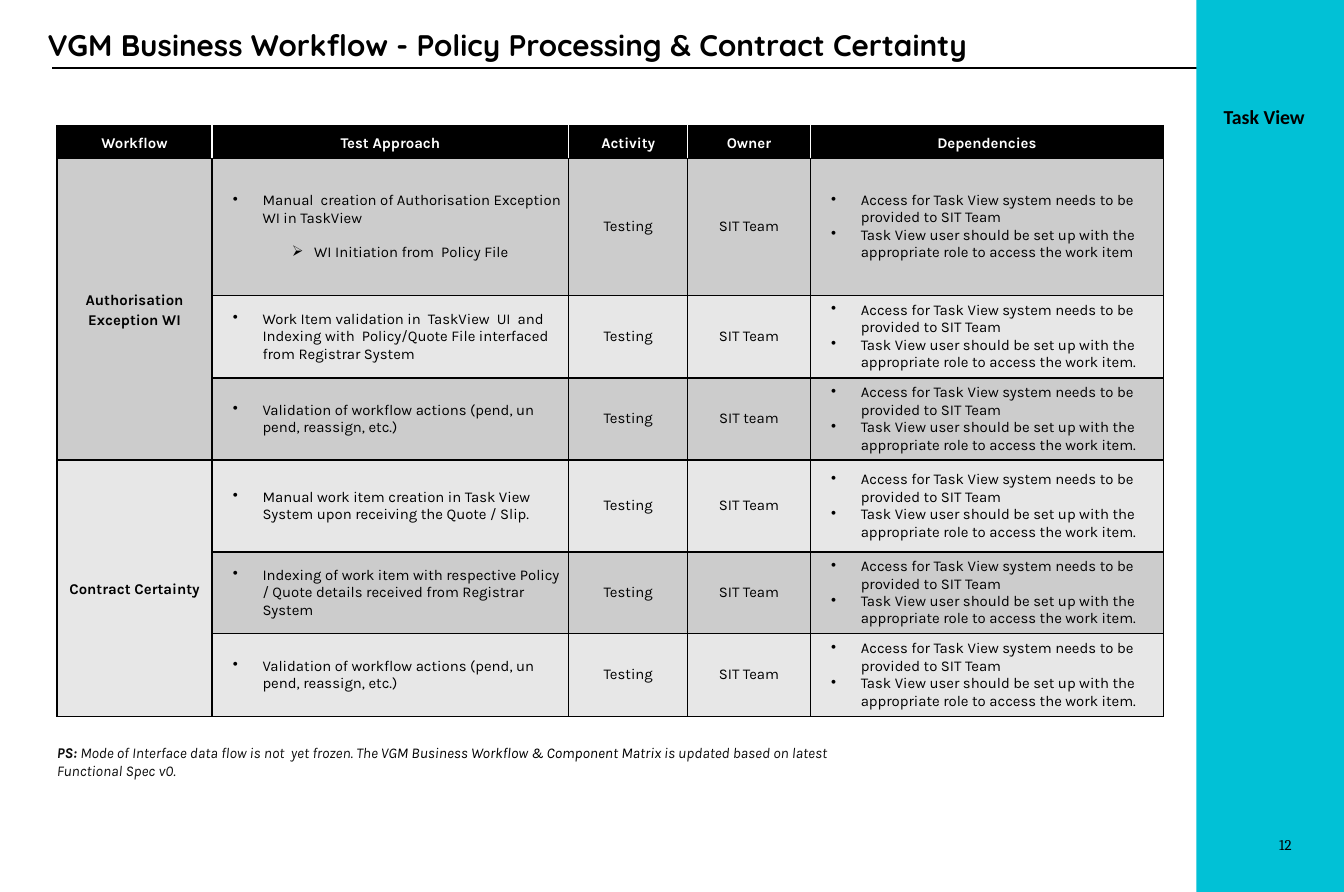
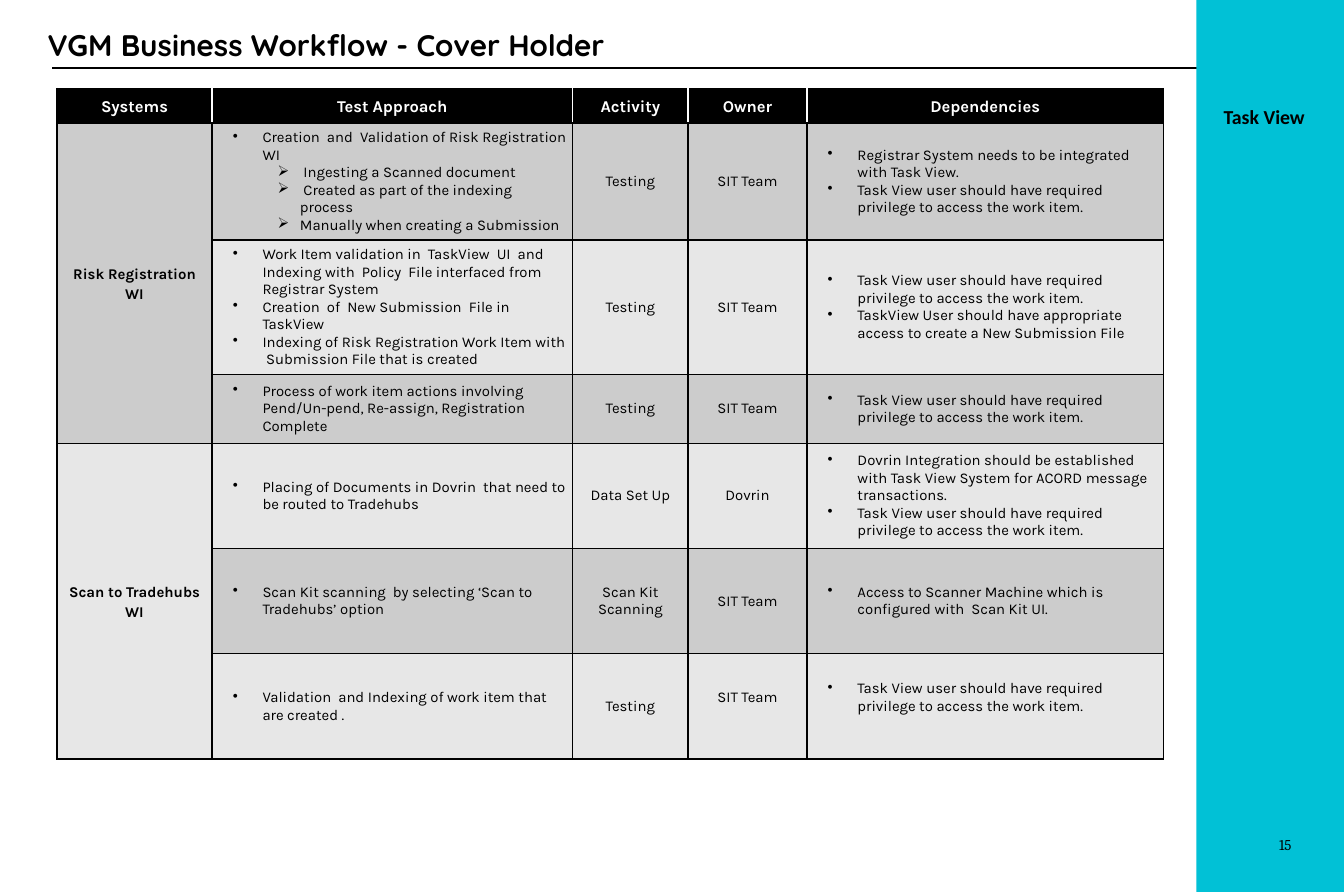
from pptx import Presentation
from pptx import util as u
from pptx.dml import color
from pptx.enum import shapes, text
from pptx.oxml import ns
from lxml import etree

BLACK, WHITE, CYAN, INK = "000000", "FFFFFF", "01C1D6", "0D0D0D"
BANDS = ["CCCCCC", "E7E7E7"]
BULLET, ARROW = "•", "➢"
CENTER = text.PP_ALIGN.CENTER

ACCESS = "Access for Task View system needs to be provided to SIT Team"
ROLE = "Task View user should be set up with the appropriate role to access the work item"
PRIVILEGE = "Task View user should have required privilege to access the work item."
ACTIONS = "Validation of workflow actions (pend, un pend, reassign, etc.)"
SETUP = [ACCESS, ROLE + "."]

POLICY_GROUPS = [
    ("Authorisation Exception WI", [
        (["Manual  creation of Authorisation Exception WI in TaskView",
          ARROW + "WI Initiation from  Policy File"],
         "Testing", "SIT Team", [ACCESS, ROLE]),
        (["Work Item validation in  TaskView  UI  and Indexing with  Policy/Quote File "
          "interfaced from Registrar System"], "Testing", "SIT Team", SETUP),
        ([ACTIONS], "Testing", "SIT team", SETUP),
    ]),
    ("Contract Certainty", [
        (["Manual work item creation in Task View System upon receiving the Quote / Slip."],
         "Testing", "SIT Team", SETUP),
        (["Indexing of work item with respective Policy / Quote details received from "
          "Registrar System"], "Testing", "SIT Team", SETUP),
        ([ACTIONS], "Testing", "SIT Team", SETUP),
    ]),
]

COVER_GROUPS = [
    ("Risk Registration WI", [
        (["Creation  and  Validation of Risk Registration WI",
          ARROW + " Ingesting a Scanned document",
          ARROW + " Created as part of the indexing process",
          ARROW + "Manually when creating a Submission"],
         "Testing", "SIT Team",
         ["Registrar System needs to be integrated with Task View.", PRIVILEGE]),
        (["Work Item validation in  TaskView  UI  and Indexing with  Policy  File "
          "interfaced from Registrar System",
          "Creation  of  New Submission  File in TaskView",
          "Indexing of Risk Registration Work Item with  Submission File that is created"],
         "Testing", "SIT Team",
         [PRIVILEGE, "TaskView User should have appropriate access to create a New "
          "Submission File"]),
        (["Process of work item actions involving Pend/Un-pend, Re-assign, Registration "
          "Complete"], "Testing", "SIT Team", [PRIVILEGE]),
    ]),
    ("Scan to Tradehubs WI", [
        (["Placing of Documents in Dovrin  that need to be routed to Tradehubs"],
         "Data Set Up", "Dovrin",
         ["Dovrin Integration should be established with Task View System for ACORD "
          "message transactions.", PRIVILEGE]),
        (["Scan Kit scanning  by selecting ‘Scan to Tradehubs’ option"],
         "Scan Kit Scanning", "SIT Team",
         ["Access to Scanner Machine which is configured with  Scan Kit UI."]),
        (["Validation  and Indexing of work item that are created ."],
         "Testing", "SIT Team", [PRIVILEGE]),
    ]),
]

FOOTNOTE = [
    ("PS: ", INK, True),
    ("Mode of Interface data flow is not  yet frozen. The ", INK, False),
    ("VGM Business Workflow & Component Matrix ", BLACK, False),
    ("is updated based on latest Functional Spec v0.", INK, False),
]


def rgb(value):
    """Turn a hex string into a colour."""
    return color.RGBColor.from_string(value)


def box(left, top, width, height):
    """Turn four numbers of points into lengths."""
    return [u.Pt(value) for value in (left, top, width, height)]


def style(paragraph, font, size, ink=BLACK, bold=False):
    """Format every run of a paragraph."""
    for run in paragraph.runs:
        run.font.name, run.font.size, run.font.bold = font, u.Pt(size), bold
        run.font.color.rgb = rgb(ink)


def add_rectangle(slide, place):
    """Add a plain cyan rectangle."""
    shape = slide.shapes.add_shape(shapes.MSO_SHAPE.RECTANGLE, *box(*place))
    shape.shadow.inherit = False
    shape.fill.solid()
    shape.fill.fore_color.rgb = rgb(CYAN)
    shape.line.fill.background()
    return shape


def add_rule(slide, left, right, y):
    """Add a thin black horizontal line."""
    rule = slide.shapes.add_connector(shapes.MSO_CONNECTOR.STRAIGHT, *box(left, y, right, y))
    rule.line.color.rgb, rule.line.width = rgb(BLACK), u.Pt(1)
    etree.SubElement(rule.element.spPr, ns.qn("a:effectLst"))
    return rule


def decorate_layout(layout, slide):
    """Draw the shared rule, side band and label, and move them to the layout."""
    for placeholder in list(layout.placeholders):
        if placeholder.placeholder_format.idx:
            layout.shapes.element.remove(placeholder.element)
    rule = add_rule(slide, 31.5, 782, 41)
    band = add_rectangle(slide, (724.2, 0, 89.4, 540))
    label = slide.shapes.add_textbox(*box(733.7, 59.8, 72, 26))
    label.text_frame.text = "Task View"
    style(label.text_frame.paragraphs[0], "Calibri", 12, bold=True)
    for shape in (rule, band, label):
        layout.shapes.element.append(shape.element)


def set_title(slide, wording):
    """Place and format the slide title."""
    title = slide.shapes.title
    title.left, title.top, title.width, title.height = box(21.6, 11.5, 790, 30.5)
    frame = title.text_frame
    frame.text = wording
    frame.auto_size = text.MSO_AUTO_SIZE.NONE
    frame.vertical_anchor = text.MSO_ANCHOR.MIDDLE
    frame.paragraphs[0].alignment = text.PP_ALIGN.LEFT
    style(frame.paragraphs[0], "Quicksand", 18, bold=True)


def add_page_number(slide, number):
    """Add the page number on the side band."""
    frame = add_rectangle(slide, (738.7, 504, 43.2, 14.4)).text_frame
    frame.margin_left = frame.margin_right = frame.margin_top = frame.margin_bottom = 0
    frame.vertical_anchor = text.MSO_ANCHOR.MIDDLE
    frame.text = str(number)
    frame.paragraphs[0].alignment = text.PP_ALIGN.RIGHT
    style(frame.paragraphs[0], "Cambria", 9)


def set_borders(cell, sides):
    """Draw one-point borders, given as a colour for each side."""
    properties = cell._tc.get_or_add_tcPr()
    for index, side in enumerate("LRTB"):
        line = etree.Element(ns.qn("a:ln" + side), w=str(u.Pt(1)))
        fill = etree.SubElement(line, ns.qn("a:solidFill"))
        etree.SubElement(fill, ns.qn("a:srgbClr"), val=sides.get(side, BLACK))
        properties.insert(index, line)


def prepare_cell(cell, fill, sides):
    """Set the fill, margins, anchor and borders of a cell."""
    cell.fill.solid()
    cell.fill.fore_color.rgb = rgb(fill)
    cell.margin_left = cell.margin_right = cell.margin_top = cell.margin_bottom = u.Pt(3.6)
    cell.vertical_anchor = text.MSO_ANCHOR.MIDDLE
    set_borders(cell, sides)


def write_centered(cell, wording, size=9, ink=BLACK, bold=False):
    """Write one centred paragraph; bold ones have wider lines."""
    cell.text_frame.text = wording
    paragraph = cell.text_frame.paragraphs[0]
    paragraph.alignment = CENTER
    if bold:
        paragraph.line_spacing = 1.15
    style(paragraph, "Karla", size, ink, bold)


def write_bullets(cell, items, arrow_indent, arrow_gap):
    """Write a bullet list whose arrow items are one level deeper."""
    frame = cell.text_frame
    frame.text = "\n".join(item.removeprefix(ARROW) for item in items)
    for item, paragraph in zip(items, frame.paragraphs):
        mark, left, hanging = BULLET, 27, 18
        if item.startswith(ARROW):
            mark, left, hanging = ARROW, arrow_indent, 13.5
            paragraph.level = 1
            paragraph.space_before = u.Pt(arrow_gap)
        properties = paragraph._p.get_or_add_pPr()
        properties.set("marL", str(u.Pt(left)))
        properties.set("indent", str(-u.Pt(hanging)))
        etree.SubElement(properties, ns.qn("a:buChar"), char=mark)
        style(paragraph, "Karla", 9)


def add_matrix(slide, top, widths, heights, first_header, header_size, groups,
               arrow_indent, arrow_gap=0):
    """Add the workflow table with one merged first cell for each group."""
    frame = slide.shapes.add_table(len(heights), len(widths),
                                   *box(34.5, top, sum(widths), sum(heights)))
    table = frame.table
    table.horz_banding = False
    for column, width in zip(table.columns, widths):
        column.width = u.Pt(width)
    for row, height in zip(table.rows, heights):
        row.height = u.Pt(height)

    headers = [first_header, "Test Approach", "Activity", "Owner", "Dependencies"]
    last = len(headers) - 1
    for index, header in enumerate(headers):
        sides = {"L": WHITE if index else BLACK, "R": WHITE if index < last else BLACK}
        prepare_cell(table.cell(0, index), BLACK, sides)
        write_centered(table.cell(0, index), header, header_size, WHITE, True)

    row = 1
    for group, (name, entries) in enumerate(groups):
        first = row
        for approach, activity, owner, dependencies in entries:
            cells = [table.cell(row, index) for index in range(len(headers))]
            for index, cell in enumerate(cells):
                prepare_cell(cell, BANDS[(row - 1) % 2 if index else group], {})
            write_bullets(cells[1], approach, arrow_indent, arrow_gap)
            write_centered(cells[2], activity)
            write_centered(cells[3], owner)
            write_bullets(cells[4], dependencies, arrow_indent, arrow_gap)
            row += 1
        table.cell(first, 0).merge(table.cell(row - 1, 0))
        write_centered(table.cell(first, 0), name, bold=True)
    return table


def add_footnote(slide):
    """Add the italic note below the table."""
    frame = slide.shapes.add_textbox(*box(34.5, 450, 504, 39)).text_frame
    frame.word_wrap = True
    frame.margin_left = frame.margin_right = frame.margin_top = frame.margin_bottom = 0
    paragraph = frame.paragraphs[0]
    for wording, ink, bold in FOOTNOTE:
        run = paragraph.add_run()
        run.text = wording
        run.font.name, run.font.size = "Karla", u.Pt(9)
        run.font.bold, run.font.italic = bold, True
        run.font.color.rgb = rgb(ink)


def add_page(presentation, layout, wording, number):
    """Add a slide with its title and page number."""
    slide = presentation.slides.add_slide(layout)
    set_title(slide, wording)
    if len(presentation.slides) == 1:
        decorate_layout(layout, slide)
    add_page_number(slide, number)
    return slide


def main():
    """Build both slides and save them."""
    presentation = Presentation()
    presentation.slide_width, presentation.slide_height = u.Pt(813.6), u.Pt(540)
    layout = presentation.slide_layouts[5]

    policy = add_page(presentation, layout,
                      "VGM Business Workflow - Policy Processing & Contract Certainty", 12)
    add_matrix(policy, 76, [93.8, 216, 72, 74.2, 213.8], [19.8, 83, 50, 49.8, 55.6, 49.2, 50],
               "Workflow", 9, POLICY_GROUPS, 58.3, 10.5)
    add_footnote(policy)

    cover = add_page(presentation, layout, "VGM Business Workflow - Cover Holder", 15)
    table = add_matrix(cover, 53.6, [93.8, 218.4, 69.8, 72, 215.8],
                       [21, 70.8, 81, 41.8, 63.7, 63.7, 63.7],
                       "Systems", 10, COVER_GROUPS, 49.7)
    for column in (3, 4):
        table.cell(6, column).margin_bottom = u.Pt(14.4)

    presentation.save("out.pptx")


if __name__ == "__main__":
    main()
